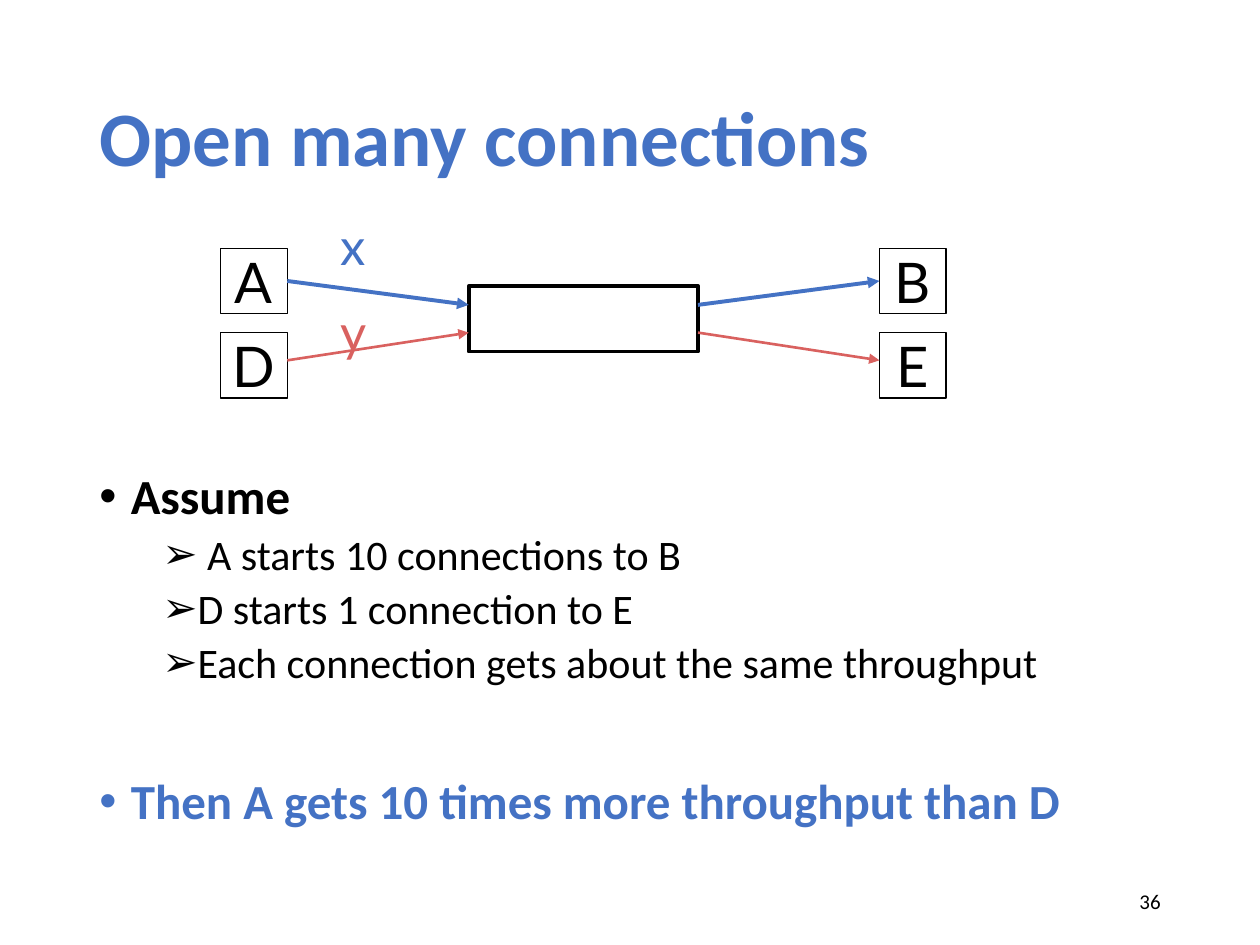
"""Build a slide on gaining throughput by opening many connections."""
from dataclasses import dataclass

from lxml.etree import SubElement
from pptx import Presentation
from pptx.dml.color import RGBColor
from pptx.enum.shapes import MSO_CONNECTOR, MSO_SHAPE
from pptx.enum.text import MSO_ANCHOR, PP_ALIGN
from pptx.oxml.ns import qn
from pptx.util import Inches, Pt

BLUE, RED, BLACK, WHITE = "4472C4", "D9615F", "000000", "FFFFFF"
HOST_WIDTH, BOX_HEIGHT = 0.53, 0.52
LEFT_HOST, ROUTER, RIGHT_HOST = 1.75, 3.72, 6.98
ROUTER_WIDTH = 1.82


@dataclass
class Flow:
    source: str
    target: str
    label: str
    host_top: float
    host_y: float
    router_y: float
    label_top: float
    color: str
    width: float
    joined: bool


@dataclass
class Bullet:
    text: str
    level: int = 0
    color: str = BLACK
    space_before: float = 5


FLOWS = [
    Flow("A", "B", "x", 1.97, 2.23, 2.42, 1.67, BLUE, 2.25, True),
    Flow("D", "E", "y", 2.64, 2.86, 2.64, 2.35, RED, 1.5, False),
]
BULLETS = [
    Bullet("Assume", space_before=0),
    Bullet(" A starts 10 connections to B", 1),
    Bullet("D starts 1 connection to E", 1),
    Bullet("Each connection gets about the same throughput", 1),
    Bullet("Then A gets 10 times more throughput than D", 0, BLUE, 51),
]


def rgb(color: str) -> RGBColor:
    return RGBColor.from_string(color)


def write(paragraph, text: str, *, size: float, font="Calibri", color=BLACK,
          bold=False, align=PP_ALIGN.LEFT) -> None:
    paragraph.alignment = align
    run = paragraph.add_run()
    run.text = text
    run.font.name = font
    run.font.size = Pt(size)
    run.font.bold = bold
    run.font.color.rgb = rgb(color)


def set_tight_frame(frame) -> None:
    frame.word_wrap = False
    frame.vertical_anchor = MSO_ANCHOR.MIDDLE
    frame.margin_left = frame.margin_right = Inches(0.04)
    frame.margin_top = frame.margin_bottom = Inches(0.02)


def add_box(slide, left: float, top: float, width: float, line_width: float, text=""):
    shape = slide.shapes.add_shape(MSO_SHAPE.RECTANGLE, Inches(left), Inches(top),
                                   Inches(width), Inches(BOX_HEIGHT))
    shape.shadow.inherit = False
    shape.fill.solid()
    shape.fill.fore_color.rgb = rgb(WHITE)
    shape.line.color.rgb = rgb(BLACK)
    shape.line.width = Pt(line_width)
    if text:
        set_tight_frame(shape.text_frame)
        write(shape.text_frame.paragraphs[0], text, size=32, font="Lato",
              align=PP_ALIGN.CENTER)
    return shape


def add_arrow(slide, start: tuple[float, float], end: tuple[float, float], flow: Flow):
    points = [Inches(value) for value in (*start, *end)]
    connector = slide.shapes.add_connector(MSO_CONNECTOR.STRAIGHT, *points)
    connector.line.color.rgb = rgb(flow.color)
    connector.line.width = Pt(flow.width)
    SubElement(connector.line._get_or_add_ln(), qn("a:tailEnd"), type="triangle")
    SubElement(connector._element.spPr, qn("a:effectLst"))
    return connector


def add_flow(slide, flow: Flow) -> None:
    source = add_box(slide, LEFT_HOST, flow.host_top, HOST_WIDTH, 0.75, flow.source)
    target = add_box(slide, RIGHT_HOST, flow.host_top, HOST_WIDTH, 0.75, flow.target)
    incoming = add_arrow(slide, (LEFT_HOST + HOST_WIDTH, flow.host_y),
                         (ROUTER, flow.router_y), flow)
    outgoing = add_arrow(slide, (ROUTER + ROUTER_WIDTH, flow.router_y),
                         (RIGHT_HOST, flow.host_y), flow)
    if flow.joined:
        incoming.begin_connect(source, 3)
        outgoing.end_connect(target, 1)
    label = slide.shapes.add_textbox(Inches(2.66), Inches(flow.label_top),
                                     Inches(0.38), Inches(0.56))
    set_tight_frame(label.text_frame)
    write(label.text_frame.paragraphs[0], flow.label, size=29, font="Lato",
          color=flow.color)


def add_bullet(paragraph, bullet: Bullet) -> None:
    is_main = bullet.level == 0
    paragraph.level = bullet.level
    paragraph.line_spacing = 0.9
    paragraph.space_before = Pt(bullet.space_before)
    write(paragraph, bullet.text, size=28 if is_main else 24, color=bullet.color,
          bold=is_main)
    properties = paragraph._p.get_or_add_pPr()
    properties.set("marL", str(Inches(0.25 if is_main else 0.75)))
    properties.set("indent", str(Inches(-0.25)))
    SubElement(properties, qn("a:buFont"), typeface="Arial")
    SubElement(properties, qn("a:buChar"), char="•" if is_main else "➢")


def add_bullets(slide, bullets: list[Bullet]) -> None:
    frame = slide.shapes.add_textbox(Inches(0.69), Inches(3.7), Inches(8.62),
                                     Inches(3.06)).text_frame
    frame.word_wrap = True
    for index, bullet in enumerate(bullets):
        add_bullet(frame.add_paragraph() if index else frame.paragraphs[0], bullet)


def add_title(slide, text: str) -> None:
    title = slide.shapes.title
    title.left, title.top = Inches(0.69), Inches(0.4)
    title.width, title.height = Inches(8.62), Inches(1.45)
    title.text_frame.vertical_anchor = MSO_ANCHOR.MIDDLE
    paragraph = title.text_frame.paragraphs[0]
    paragraph.line_spacing = 0.9
    write(paragraph, text, size=44, color=BLUE, bold=True)


def add_page_number(slide, number: str) -> None:
    frame = slide.shapes.add_textbox(Inches(7.06), Inches(6.95), Inches(2.25),
                                     Inches(0.4)).text_frame
    frame.word_wrap = True
    frame.vertical_anchor = MSO_ANCHOR.MIDDLE
    write(frame.paragraphs[0], number, size=12, align=PP_ALIGN.RIGHT)


def main() -> None:
    presentation = Presentation()
    presentation.slide_width, presentation.slide_height = Inches(10), Inches(7.5)
    slide = presentation.slides.add_slide(presentation.slide_layouts[5])
    add_title(slide, "Open many connections")
    add_bullets(slide, BULLETS)
    add_box(slide, ROUTER, 2.27, ROUTER_WIDTH, 2.25)
    for flow in FLOWS:
        add_flow(slide, flow)
    add_page_number(slide, "36")
    presentation.save("out.pptx")


if __name__ == "__main__":
    main()
